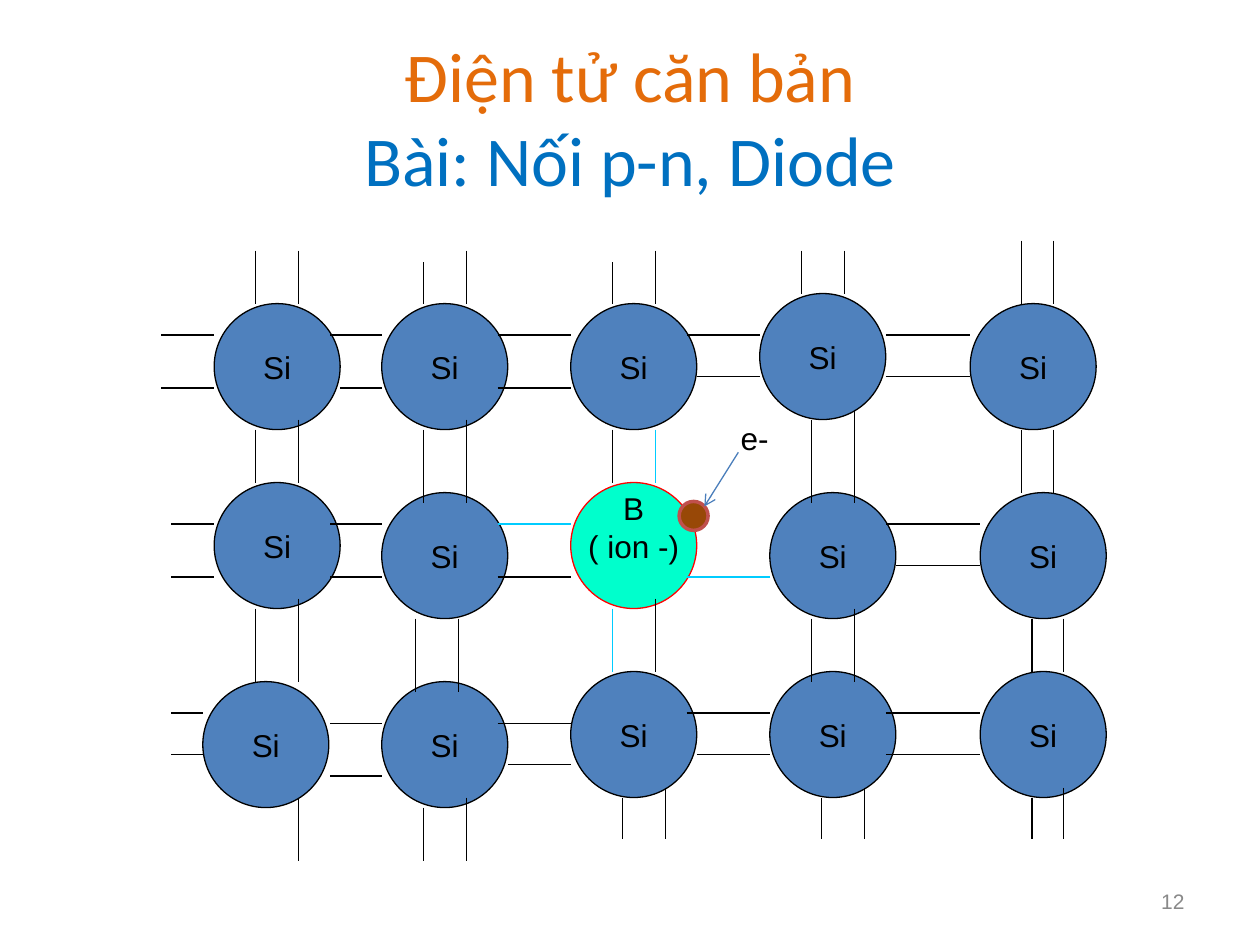
import pptx
import pptx.util
import pptx.dml.color
import pptx.enum.shapes
import pptx.enum.text
import pptx.oxml
import pptx.oxml.ns

PX = 9144  # one px is a hundredth of an inch
HEX = {"orange": "E46C0A", "blue": "0070C0", "gray": "898989",
       "black": "000000", "steel": "4F81BD", "mint": "00FFCC",
       "red": "FF0000", "cyan": "00CCFF", "brown": "984807",
       "brick": "C0504D", "arrow": "4A7EBB"}
ALIGN = pptx.enum.text.PP_ALIGN
ANCHOR = pptx.enum.text.MSO_ANCHOR

# Lattice: left of each column, top of each row, and atoms moved off them
SIZE = 100
COLS = [70, 203, 353, 511, 678]
ROWS = [141, 291, 433]
NUDGE = {(0, 3): (-8, -8), (0, 4): (-8, 0), (1, 0): (0, -8),
         (1, 2): (0, -8), (2, 0): (-9, 8), (2, 1): (0, 8)}
BORON = (1, 2)

# A bond is a pair of lines, 0 and 1; its key is (row, column) of the
# atom it leads to, and row 3 leads out below the lattice
TUCK = 8  # how far a line runs into an atom
CYAN = {("across", 1, 2, 0), ("across", 1, 3, 1),
        ("down", 1, 2, 1), ("down", 2, 2, 0)}
GONE = {("across", 1, 3, 0), ("down", 3, 0, 0)}

# Bonds across: start of the left ends, close pairs, lowered pairs, and
# pairs whose lower line starts at the atom's edge
EDGE = [28, 36, 36]
CLOSE = {(0, 3), (0, 4), (1, 4), (2, 0), (2, 2), (2, 3), (2, 4)}
LOW = {(2, 1), (2, 2)}
SHORT = {(0, 1), (0, 3), (1, 4), (2, 2), (2, 3)}

# Bonds down: heights of the top ends, sideways shifts, and pairs whose
# right line starts at the atom's edge
STEMS = [(42, 42), (33, 42), (33, 42), (34, 34), (50, 50)]
SKEW = {(1, 3): 8, (2, 1): -6, (3, 0): 9, (3, 2): 8, (3, 3): 8}
FLUSH = {(1, 2), (1, 4), (2, 1), (2, 4)}


def emu(*vals):
    return [round(v * PX) for v in vals]


def rgb(name):
    return pptx.dml.color.RGBColor.from_string(HEX[name])


def node(tag, attrs=""):
    names = pptx.oxml.ns.nsdecls("a")
    return pptx.oxml.parse_xml(f"<a:{tag} {attrs} {names}/>")


def style(font, tint, **form):
    for key, val in form.items():
        setattr(font, key, val)
    font.color.rgb = rgb(tint)


def write(shape, lines, tint="black", size=18, align=ALIGN.CENTER, **form):
    frame = shape.text_frame
    for key, val in form.items():
        setattr(frame, key, val)
    frame.text = "\n".join(lines)
    for para in frame.paragraphs:
        para.alignment = align
        style(para.font, tint, name="Arial", size=pptx.util.Pt(size))


def disc(slide, box, fill, edge, width):
    dot = slide.shapes.add_shape(
        pptx.enum.shapes.MSO_SHAPE.OVAL, *emu(*box))
    dot.shadow.inherit = False
    dot.fill.solid()
    dot.fill.fore_color.rgb = rgb(fill)
    dot.line.color.rgb = rgb(edge)
    dot.line.width = pptx.util.Pt(width)
    return dot


def link(slide, x1, y1, x2, y2, tint):
    line = slide.shapes.add_connector(
        pptx.enum.shapes.MSO_CONNECTOR.STRAIGHT, *emu(x1, y1, x2, y2))
    line.line.color.rgb = rgb(tint)
    line.line.width = pptx.util.Pt(0.75)
    line.element.spPr.append(node("effectLst"))
    return line


def head(slide, box):
    title = slide.shapes.title
    title.left, title.top, title.width, title.height = emu(*box)
    frame = title.text_frame
    frame.vertical_anchor = ANCHOR.MIDDLE
    para = frame.paragraphs[0]
    para.alignment = ALIGN.CENTER
    parts = [("Điện tử căn bản", "orange"), ("Bài: Nối p-n, Diode", "blue")]
    for i, (text, tint) in enumerate(parts):
        if i:
            para.add_line_break()
        run = para.add_run()
        run.text = text
        style(run.font, tint, name="Calibri", size=pptx.util.Pt(40))


def place(r, c):
    """Left and top of one atom within the lattice."""
    dx, dy = NUDGE.get((r, c), (0, 0))
    return COLS[c] + dx, ROWS[r] + dy


def atoms(slide, box):
    for r in range(len(ROWS)):
        for c in range(len(COLS)):
            x, y = place(r, c)
            spot = (box[0] + x, box[1] + y, SIZE, SIZE)
            form = {"word_wrap": False, "vertical_anchor": ANCHOR.MIDDLE}
            fill, edge, lines = "steel", "black", ["Si"]
            if (r, c) == BORON:
                fill, edge, lines = "mint", "red", ["B", "( ion -)"]
                # the deep lower margin lifts the label
                form.update(margin_top=0, margin_bottom=29 * PX)
            write(disc(slide, spot, fill, edge, 0.75), lines, **form)


def across(r, c, i):
    """Line i of the bond that meets atom (r, c) from the left."""
    key = (r, c)
    y = 166 + 150 * r + (8 if key in LOW else 0)
    y += i * (33 if key in CLOSE else 42)
    if c == 0:
        start = EDGE[r]
    else:
        start = COLS[c - 1] + SIZE - (0 if i and key in SHORT else TUCK)
    return start, y, place(r, c)[0], y


def down(r, c, i):
    """Line i of the bond that meets atom (r, c) from above."""
    key = (r, c)
    left, top = place(max(r - 1, 0), c)
    near, far = (41, 66) if c == 4 else (33, 67)
    x = left + SKEW.get(key, 0) + (far if i else near)
    if r == 0:
        return x, top - STEMS[c][i], x, top
    base = top + SIZE
    start = base - (TUCK if i and key not in FLUSH else 0)
    if r == len(ROWS):
        end = base + (42 if c < 2 else 33)
    else:
        end = place(r, c)[1] + (TUCK if c % 2 else 0)
    return x, start, x, end


def bonds(slide, box):
    left, top = box[:2]
    plan = [("across", across, len(ROWS)), ("down", down, len(ROWS) + 1)]
    for way, rule, count in plan:
        for r in range(count):
            for c in range(len(COLS)):
                for i in range(2):
                    key = (way, r, c, i)
                    if key in GONE:
                        continue
                    x1, y1, x2, y2 = rule(r, c, i)
                    link(slide, left + x1, top + y1, left + x2, top + y2,
                         "cyan" if key in CYAN else "black")


def charge(slide, box):
    left, top = box[:2]
    disc(slide, (left, top + 70, 23, 23), "brown", "brick", 2)
    note = slide.shapes.add_textbox(*emu(left + 39, top, 47, 40))
    write(note, ["e-"], align=ALIGN.LEFT, word_wrap=True)
    line = link(slide, left + 47, top + 31, left + 20, top + 74, "arrow")
    edge = line.element.spPr.find(pptx.oxml.ns.qn("a:ln"))
    edge.append(node("tailEnd", 'type="arrow"'))


def page(slide, box):
    note = slide.shapes.add_textbox(*emu(*box))
    write(note, ["12"], "gray", 12, ALIGN.RIGHT,
          word_wrap=True, vertical_anchor=ANCHOR.MIDDLE)


def main():
    deck = pptx.Presentation()
    deck.slide_width, deck.slide_height = emu(1000, 750)
    slide = deck.slides.add_slide(deck.slide_layouts[5])
    head(slide, (50, 30, 900, 125))
    page(slide, (717, 695, 233, 40))
    # Crystal lattice
    grid = (100, 100, 800, 600)
    atoms(slide, grid)
    bonds(slide, grid)
    # Captured electron
    charge(slide, (539, 328, 86, 93))
    deck.save("out.pptx")


if __name__ == "__main__":
    main()
